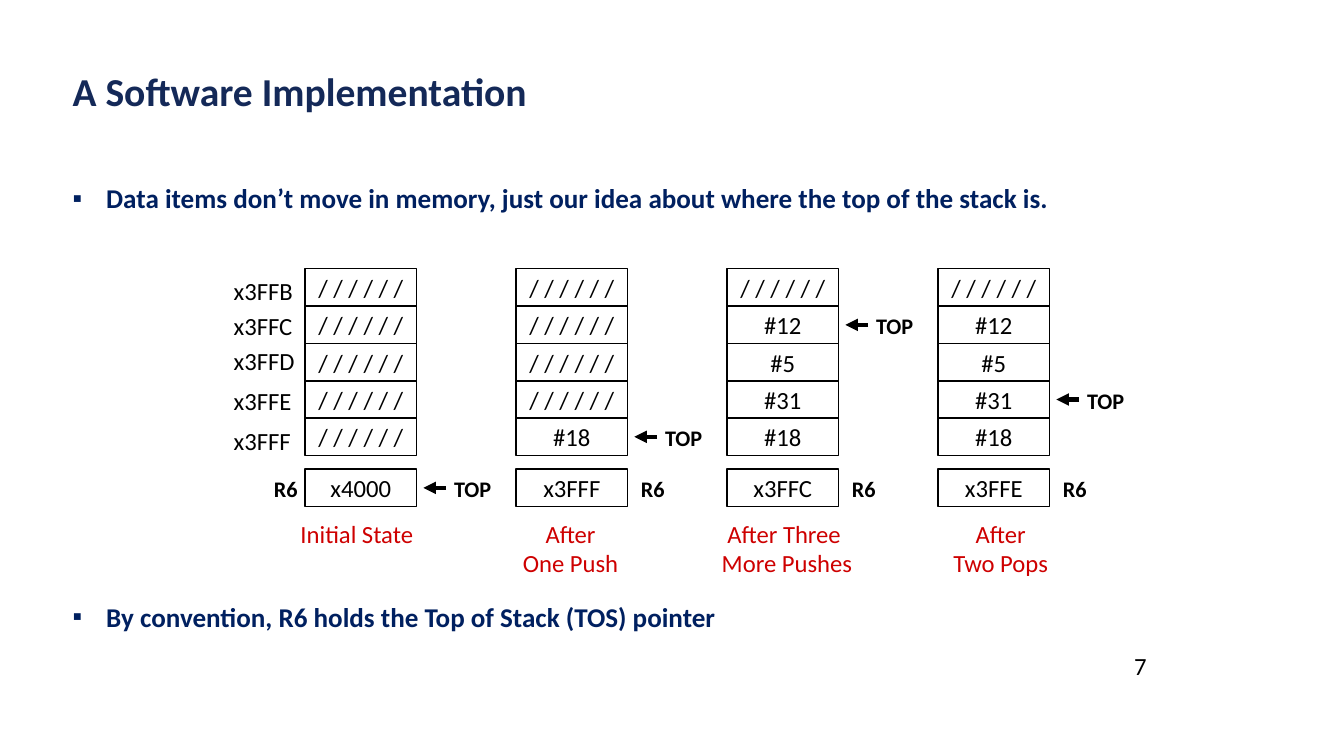
from dataclasses import dataclass

from lxml.etree import SubElement
from pptx import Presentation
from pptx.dml.color import RGBColor
from pptx.enum.shapes import MSO_CONNECTOR as Connector, MSO_SHAPE as Shape
from pptx.enum.text import MSO_ANCHOR as Anchor, MSO_AUTO_SIZE as AutoSize, PP_ALIGN as Align
from pptx.oxml.ns import qn
from pptx.util import Inches, Pt


@dataclass(frozen=True)
class Theme:
    font: str = "Calibri"
    title_color: str = "142958"
    body_color: str = "002060"
    ink: str = "000000"
    caption_color: str = "CE0000"
    title_size: float = 21.2
    body_size: float = 14.5
    cell_size: float = 13.2
    label_size: float = 11.9


@dataclass(frozen=True)
class Stack:
    cells: tuple
    register: str
    top_row: int | None  # None: the pointer is below the stack, at R6
    caption: tuple
    caption_shift: float


THEME = Theme()

# Grid of the stack diagram, in inches
LEFT, TOP = 2.27, 2.0
COLUMN_STEP, ROW_STEP = 1.57, 1.11 / 4
CELL_WIDTH, CELL_HEIGHT = 0.83, 0.28
REGISTER_TOP, CAPTION_TOP = 3.49, 3.81

EMPTY = "/ / / / / /"
PUSHED = (EMPTY, "#12", "#5", "#31", "#18")
# Each address with its vertical shift from its row
ADDRESSES = (("x3FFB", 0), ("x3FFC", -0.01), ("x3FFD", -0.03),
             ("x3FFE", -0.01), ("x3FFF", 0.01))
STACKS = (
    Stack((EMPTY,) * 5, "x4000", None, ("Initial State",), -0.03),
    Stack((EMPTY,) * 4 + ("#18",), "x3FFF", 4, ("After", "One Push"), -0.01),
    Stack(PUSHED, "x3FFC", 1, ("After Three ", "More Pushes"), 0.03),
    Stack(PUSHED, "x3FFE", 3, ("After", "Two Pops"), 0.05),
)


def row_top(row):
    return TOP + row * ROW_STEP


def write(shape, *lines, size=THEME.cell_size, color=THEME.ink, bold=False,
          align=Align.LEFT, anchor=Anchor.TOP, wrap=False):
    frame = shape.text_frame
    frame.auto_size = AutoSize.NONE
    frame.word_wrap = wrap
    frame.vertical_anchor = anchor
    for index, line in enumerate(lines):
        para = frame.add_paragraph() if index else frame.paragraphs[0]
        para.alignment = align
        para.space_before = Pt(0)
        span = para.add_run()
        span.text = line
        span.font.name = THEME.font
        span.font.size = Pt(size)
        span.font.bold = bold
        span.font.color.rgb = RGBColor.from_string(color)


def place(shape, left, top, width, height):
    shape.left, shape.top = Inches(left), Inches(top)
    shape.width, shape.height = Inches(width), Inches(height)


def add_label(page, left, top, width, height, *lines, **text_format):
    box = page.shapes.add_textbox(*map(Inches, (left, top, width, height)))
    write(box, *lines, **text_format)


def add_cell(page, left, top, text):
    cell = page.shapes.add_shape(
        Shape.RECTANGLE, *map(Inches, (left, top, CELL_WIDTH, CELL_HEIGHT)))
    cell.shadow.inherit = False
    cell.fill.background()
    cell.line.color.rgb = RGBColor.from_string(THEME.ink)
    cell.line.width = Pt(0.75)
    write(cell, text, align=Align.CENTER, anchor=Anchor.MIDDLE)


def add_top_pointer(page, left, top):
    """Draw an arrow to the right edge of a cell, followed by the word TOP."""
    middle = top + CELL_HEIGHT / 2
    edge = left + CELL_WIDTH
    arrow = page.shapes.add_connector(
        Connector.STRAIGHT, *map(Inches, (edge + 0.22, middle, edge + 0.05, middle)))
    arrow.line.color.rgb = RGBColor.from_string(THEME.ink)
    arrow.line.width = Pt(2.25)
    SubElement(arrow.line._get_or_add_ln(), qn("a:tailEnd"), type="triangle")
    SubElement(arrow._element.spPr, qn("a:effectLst"))
    add_label(page, edge + 0.18, top, 0.49, 0.3, "TOP",
              size=THEME.label_size, bold=True)


def add_stack(page, column, stack):
    left = LEFT + column * COLUMN_STEP
    for row, text in enumerate(stack.cells):
        add_cell(page, left, row_top(row), text)
    add_cell(page, left, REGISTER_TOP, stack.register)

    pointer_top = REGISTER_TOP if stack.top_row is None else row_top(stack.top_row)
    add_top_pointer(page, left, pointer_top)
    register_left = left - 0.33 if stack.top_row is None else left + CELL_WIDTH
    add_label(page, register_left, REGISTER_TOP, 0.38, 0.3, "R6",
              size=THEME.label_size, bold=True)

    width = 1.19
    caption_left = left + (CELL_WIDTH - width) / 2 + stack.caption_shift
    add_label(page, caption_left, CAPTION_TOP, width, 0.55, *stack.caption,
              color=THEME.caption_color, align=Align.CENTER, wrap=True)


def add_title(page, text):
    title = page.shapes.title
    place(title, 0.44, 0.45, 9.19, 0.54)
    write(title, text, size=THEME.title_size, color=THEME.title_color, bold=True, wrap=True)


def add_bullets(page, *lines, gap):
    """Fill the body, with gap points between bullets for the diagram."""
    body = page.placeholders[1]
    place(body, 0.44, 1.3, 9.19, 3.49)
    write(body, *lines, size=THEME.body_size, color=THEME.body_color, bold=True, wrap=True)
    for index, para in enumerate(body.text_frame.paragraphs):
        para.space_before = Pt(gap if index else 0)
        properties = para._p.get_or_add_pPr()
        properties.set("marL", str(Inches(0.25)))
        properties.set("indent", str(Inches(-0.25)))
        SubElement(properties, qn("a:buFont"), typeface="Arial")
        SubElement(properties, qn("a:buChar"), char="▪")


def main():
    deck = Presentation()
    deck.slide_width = Inches(10)
    deck.slide_height = deck.slide_width * 9 // 16
    page = deck.slides.add_slide(deck.slide_layouts[1])

    add_title(page, "A Software Implementation")
    add_bullets(
        page,
        "Data items don’t move in memory, just our idea about where the top of the stack is.",
        "By convention, R6 holds the Top of Stack (TOS) pointer",
        gap=207,
    )
    for row, (address, shift) in enumerate(ADDRESSES):
        add_label(page, 1.64, row_top(row) + shift, 0.65, 0.32, address)
    for column, stack in enumerate(STACKS):
        add_stack(page, column, stack)
    add_label(page, 8.34, 4.79, 0.3, 0.32, "7")

    deck.save("out.pptx")


if __name__ == "__main__":
    main()
